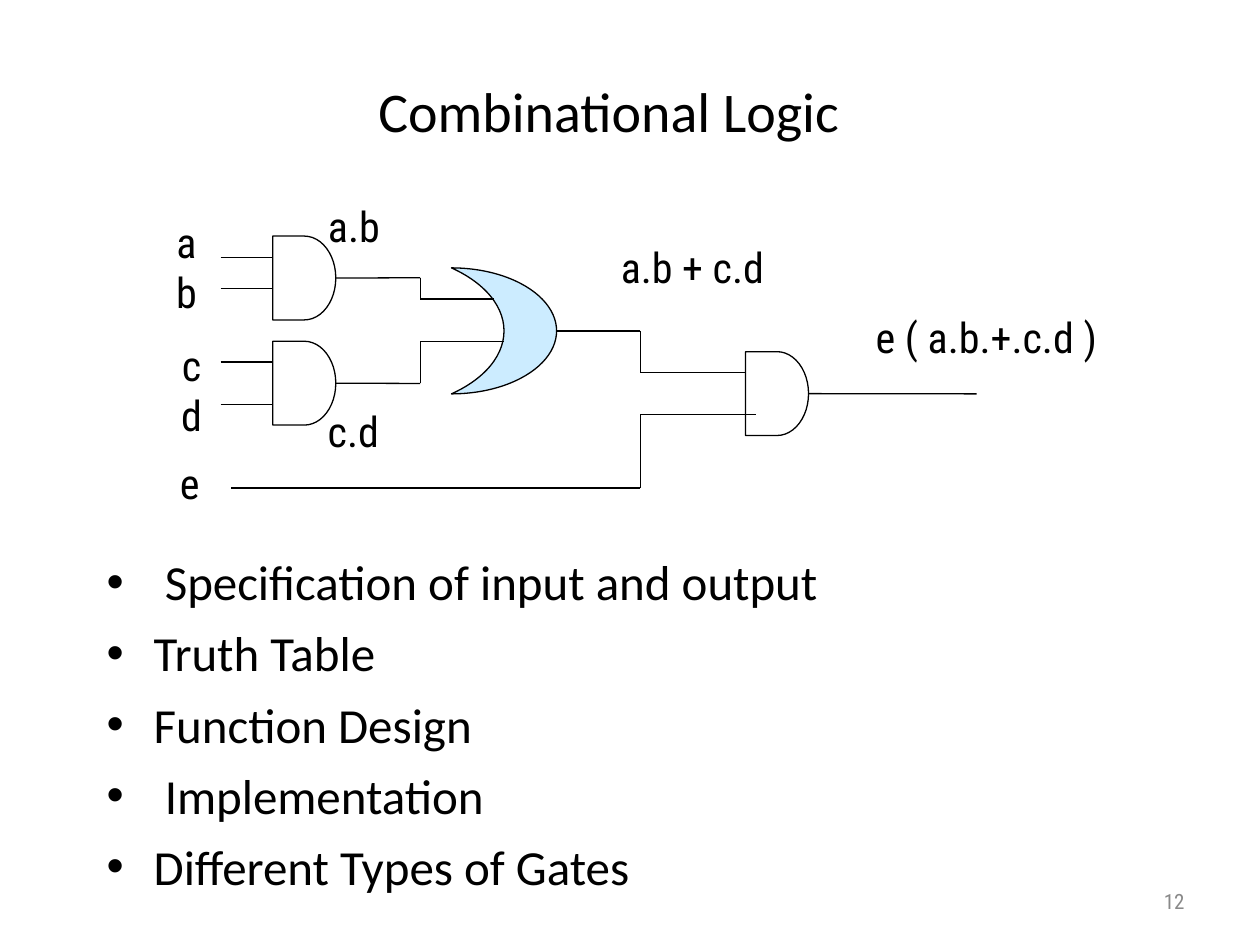
from itertools import pairwise

from lxml import etree
from pptx import Presentation
from pptx.dml.color import RGBColor
from pptx.enum.shapes import MSO_CONNECTOR, MSO_SHAPE
from pptx.enum.text import MSO_ANCHOR, PP_ALIGN
from pptx.oxml.ns import qn
from pptx.util import Cm, Pt

BLACK = RGBColor(0x00, 0x00, 0x00)
WHITE = RGBColor(0xFF, 0xFF, 0xFF)
PALE_BLUE = RGBColor(0xCC, 0xEC, 0xFF)
GREY = RGBColor(0x89, 0x89, 0x89)

TITLE = {"name": "Calibri", "size": Pt(32)}
BODY = {"name": "Calibri", "size": Pt(28)}
LABEL = {"name": "Roboto Condensed", "size": Pt(24)}
NUMBER = {"name": "Roboto Condensed", "size": Pt(12)}


def write(tf, lines, font, color=BLACK, align=PP_ALIGN.CENTER, bullet=None):
    for i, line in enumerate(lines):
        p = tf.paragraphs[0] if i == 0 else tf.add_paragraph()
        p.alignment = align
        if bullet:
            pPr = p._p.get_or_add_pPr()
            pPr.set("marL", str(Cm(0.95)))
            pPr.set("indent", str(-Cm(0.95)))
            p.space_before = Pt(7 if i else 0)
            etree.SubElement(pPr, qn("a:buFont")).set("typeface", "Arial")
            etree.SubElement(pPr, qn("a:buChar")).set("char", bullet)
        r = p.add_run()
        r.text = line
        for key, value in font.items():
            setattr(r.font, key, value)
        r.font.color.rgb = color


prs = Presentation()
prs.slide_width, prs.slide_height = Cm(25.4), Cm(19.05)
s = prs.slides.add_slide(prs.slide_layouts[5])

title = s.shapes.title
frame = {"left": 1.9, "top": 1.06, "width": 20.75, "height": 2.33}
for key, value in frame.items():
    setattr(title, key, Cm(value))
title.text_frame.vertical_anchor = MSO_ANCHOR.MIDDLE
write(title.text_frame, ["Combinational Logic"], TITLE)

steps = [
    " Specification of input and output",
    "Truth Table",
    "Function Design",
    " Implementation",
    "Different Types of Gates",
]
tf = s.shapes.add_textbox(Cm(1.9), Cm(11), Cm(21.6), Cm(7.2)).text_frame
tf.word_wrap = True
write(tf, steps, BODY, align=PP_ALIGN.LEFT, bullet="•")

tf = s.shapes.add_textbox(Cm(18.2), Cm(17.65), Cm(5.93), Cm(1.02)).text_frame
tf.word_wrap = True
tf.vertical_anchor = MSO_ANCHOR.MIDDLE
write(tf, ["12"], NUMBER, GREY, PP_ALIGN.RIGHT)

AND, OR = MSO_SHAPE.FLOWCHART_DELAY, MSO_SHAPE.MOON
gates = []
for kind, x, y, w, h, fill, turn in [
    (AND, 5.5, 4.76, 1.27, 1.69, WHITE, 0),
    (AND, 5.5, 6.88, 1.27, 1.69, WHITE, 0),
    (AND, 15.03, 7.09, 1.27, 1.69, WHITE, 0),
    (OR, 9.1, 5.4, 2.12, 2.54, PALE_BLUE, 180),
]:
    sp = s.shapes.add_shape(kind, Cm(x), Cm(y), Cm(w), Cm(h))
    sp.rotation = turn
    sp.shadow.inherit = False
    sp.fill.solid()
    sp.fill.fore_color.rgb = fill
    sp.line.color.rgb = BLACK
    sp.line.width = Pt(0.75)
    gates.append(sp)
and_ab, and_cd, and_e, or_gate = gates

wires = [
    (and_ab, [(6.77, 5.6), (8.47, 5.6), (8.47, 6.03), (9.95, 6.03)]),
    (and_cd, [(6.77, 7.73), (8.47, 7.73), (8.47, 6.88), (10.16, 6.88)]),
    (None, [(11.22, 6.67), (12.91, 6.67), (12.91, 7.51), (15.03, 7.51)]),
    (None, [(4.66, 9.84), (12.91, 9.84), (12.91, 8.36), (15.24, 8.36)]),
    (and_e, [(16.3, 7.94), (19.69, 7.94)]),
]
wires += [(None, [(4.45, y), (5.5, y)]) for y in (5.19, 5.82, 7.3, 8.15)]

for gate, points in wires:
    for i, (start, end) in enumerate(pairwise(points)):
        line = s.shapes.add_connector(
            MSO_CONNECTOR.STRAIGHT, *map(Cm, start + end))
        if gate and i == 0:
            line.begin_connect(gate, 3)
        line.line.color.rgb = BLACK
        line.line.width = Pt(0.75)
        etree.SubElement(line._element.spPr, qn("a:effectLst"))

for lines, x, y, w in [
    (["a", "b"], 3.25, 4.24, 1.02),
    (["c", "d"], 3.35, 6.71, 1.02),
    (["e"], 3.33, 9.09, 0.99),
    (["a.b"], 6.27, 3.91, 1.73),
    (["c.d"], 6.3, 8.05, 1.65),
    (["a.b + c.d"], 11.61, 4.75, 4.7),
    (["e ( a.b.+.c.d )"], 16.71, 6.15, 6.35),
]:
    h = 0.25 + 1.02 * len(lines)
    tf = s.shapes.add_textbox(Cm(x), Cm(y), Cm(w), Cm(h)).text_frame
    tf.word_wrap = False
    write(tf, lines, LABEL)

prs.save("out.pptx")
